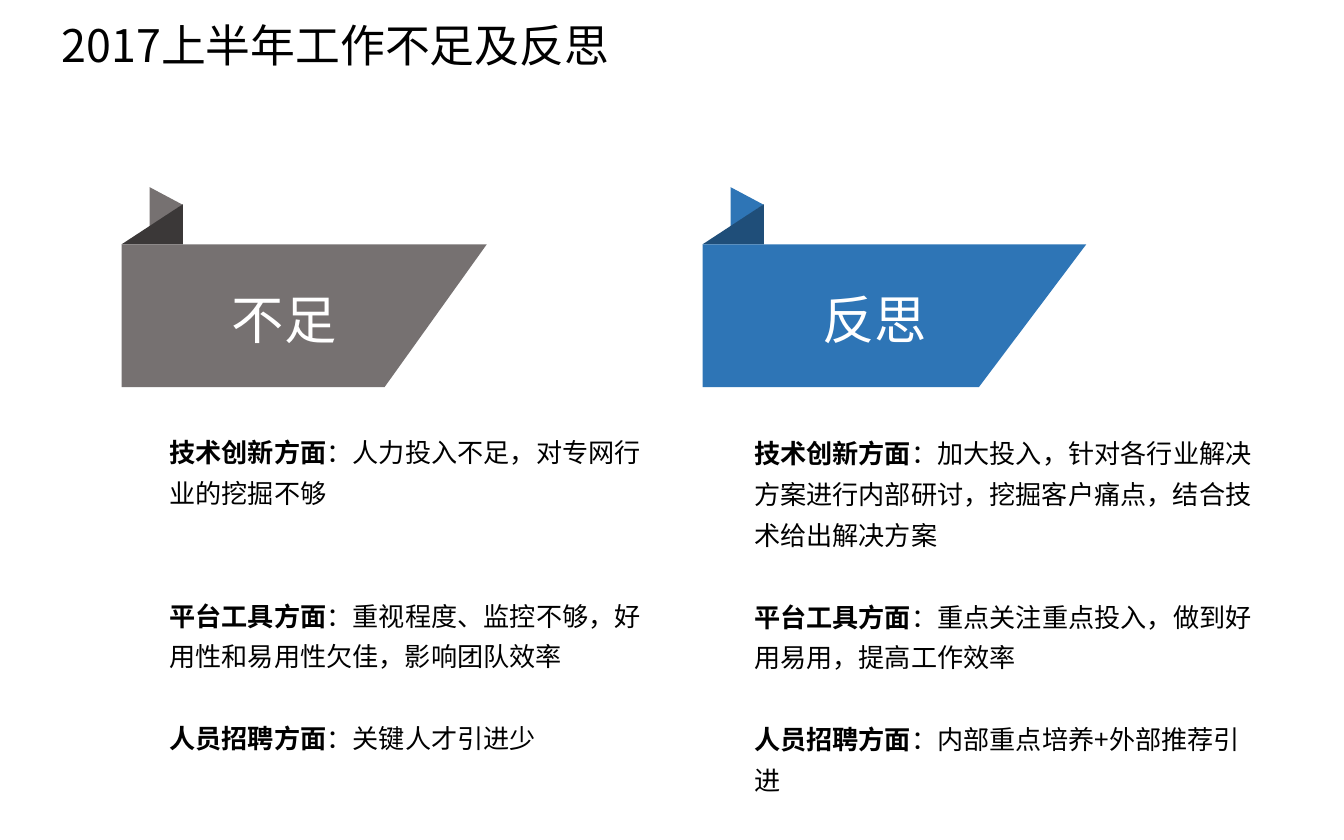
from lxml.etree import SubElement
from pptx import Presentation
from pptx.dml.color import RGBColor as Rgb
from pptx.enum.shapes import MSO_SHAPE as Kind
from pptx.enum.text import MSO_ANCHOR as Anchor, MSO_AUTO_SIZE as Fit, PP_ALIGN as Align
from pptx.oxml.ns import qn
from pptx.util import Cm, Pt

BLACK = Rgb(0x00, 0x00, 0x00)
WHITE = Rgb(0xFF, 0xFF, 0xFF)
GRAY = Rgb(0x76, 0x71, 0x71)
DARK = Rgb(0x3B, 0x38, 0x38)
BLUE = Rgb(0x2E, 0x75, 0xB6)
NAVY = Rgb(0x1F, 0x4E, 0x79)

TOP = 4.62
LINE = 21.9

LACKS = [
    ("技术创新方面", "：人力投入不足，对专网行业的挖掘不够", 0),
    ("平台工具方面", "：重视程度、监控不够，好用性和易用性欠佳，影响团队效率", 2),
    ("人员招聘方面", "：关键人才引进少", 1),
]
PLANS = [
    ("技术创新方面", "：加大投入，针对各行业解决方案进行内部研讨，挖掘客户痛点，结合技术给出解决方案", 0),
    ("平台工具方面", "：重点关注重点投入，做到好用易用，提高工作效率", 1),
    ("人员招聘方面", "：内部重点培养+外部推荐引进", 1),
]


class Deck:
    face = "Noto Sans CJK SC"

    def __init__(self, slide):
        self.slide = slide

    def style(self, run, size, color, bold=False):
        font = run.font
        font.size, font.bold, font.name = Pt(size), bold, self.face
        font.color.rgb = color
        SubElement(run._r.get_or_add_rPr(), qn("a:ea"), typeface=self.face)

    def place(self, shape, left, top, width, height):
        shape.left, shape.top = Cm(left), Cm(top)
        shape.width, shape.height = Cm(width), Cm(height)
        frame = shape.text_frame
        frame.word_wrap, frame.auto_size = True, Fit.NONE
        frame.vertical_anchor = Anchor.TOP
        return frame

    def title(self, text):
        frame = self.place(self.slide.shapes.title, 0.91, 0.33, 21.9, 1.6)
        frame.text = text
        para = frame.paragraphs[0]
        para.alignment, para.line_spacing = Align.LEFT, 0.9
        self.style(para.runs[0], 24, BLACK)

    def points(self, index, items, left, top, width, height):
        frame = self.place(self.slide.placeholders[index], left, top, width, height)
        frame.margin_left = frame.margin_right = 0
        frame.margin_top = frame.margin_bottom = 0
        for row, (head, rest, gap) in enumerate(items):
            para = frame.add_paragraph() if row else frame.paragraphs[0]
            props = para._p.get_or_add_pPr()
            props.set("marL", "0")
            props.set("indent", "0")
            SubElement(props, qn("a:buNone"))
            para.line_spacing, para.space_before = 1.3, Pt(gap * LINE)
            for text, bold in ((head, True), (rest, False)):
                run = para.add_run()
                run.text = text
                self.style(run, 14, BLACK, bold)

    def paint(self, shape, color):
        shape.shadow.inherit = False
        shape.fill.solid()
        shape.fill.fore_color.rgb = color
        shape.line.fill.background()
        return shape

    def outline(self, spots, color):
        first, *others = [(Cm(x), Cm(y)) for x, y in spots]
        build = self.slide.shapes.build_freeform(*first, scale=1.0)
        build.add_line_segments(others, close=True)
        return self.paint(build.convert_to_shape(), color)

    def fold(self, left, color):
        shape = self.slide.shapes.add_shape(
            Kind.RIGHT_TRIANGLE, Cm(left), Cm(TOP - 0.76), Cm(1.16), Cm(0.76))
        shape.element.spPr.get_or_add_xfrm().set("flipH", "1")
        self.paint(shape, color)

    def ribbon(self, text, left, width, color, shade):
        tail = left + 0.53
        self.outline([(tail, TOP - 0.33), (tail + 0.62, TOP - 0.75),
                      (tail, TOP - 1.08)], color)
        self.fold(left, shade)
        low = TOP + 2.7
        flag = self.outline([(left, TOP), (left + width, TOP),
                             (left + width * 0.72, low), (left, low)], color)
        frame = flag.text_frame
        frame.margin_left = frame.margin_top = frame.margin_bottom = 0
        frame.margin_right = Cm(0.76)
        frame.vertical_anchor = Anchor.MIDDLE
        frame.text = text
        para = frame.paragraphs[0]
        para.alignment, para.line_spacing = Align.CENTER, 1.1
        self.style(para.runs[0], 28, WHITE)


def main():
    show = Presentation()
    show.slide_width, show.slide_height = Cm(25.4), Cm(15.88)
    deck = Deck(show.slides.add_slide(show.slide_layouts[3]))
    deck.title("2017上半年工作不足及反思")
    deck.ribbon("不足", 2.3, 6.9, GRAY, DARK)
    deck.points(1, LACKS, 3.2, 8.08, 9.3, 6.55)
    deck.ribbon("反思", 13.28, 7.25, BLUE, NAVY)
    deck.points(2, PLANS, 14.25, 8.1, 9.45, 7.04)
    show.save("out.pptx")


if __name__ == "__main__":
    main()
